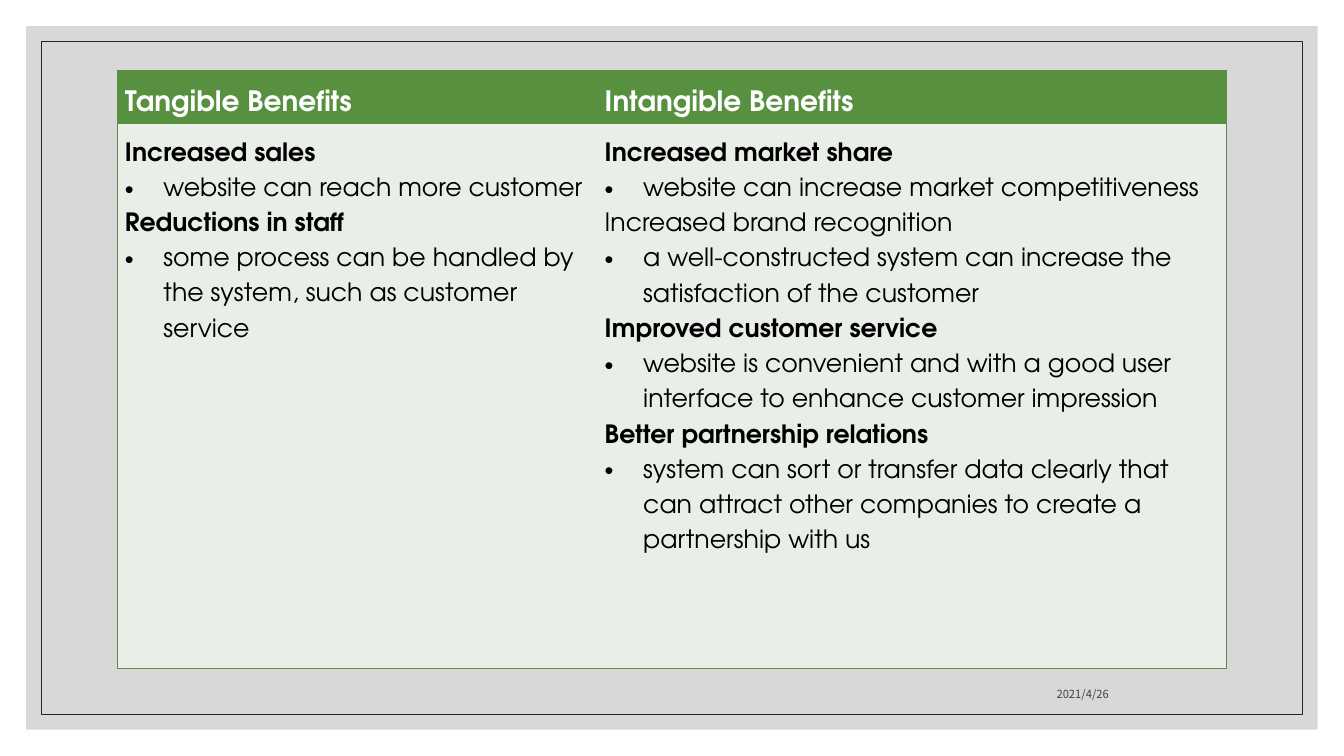
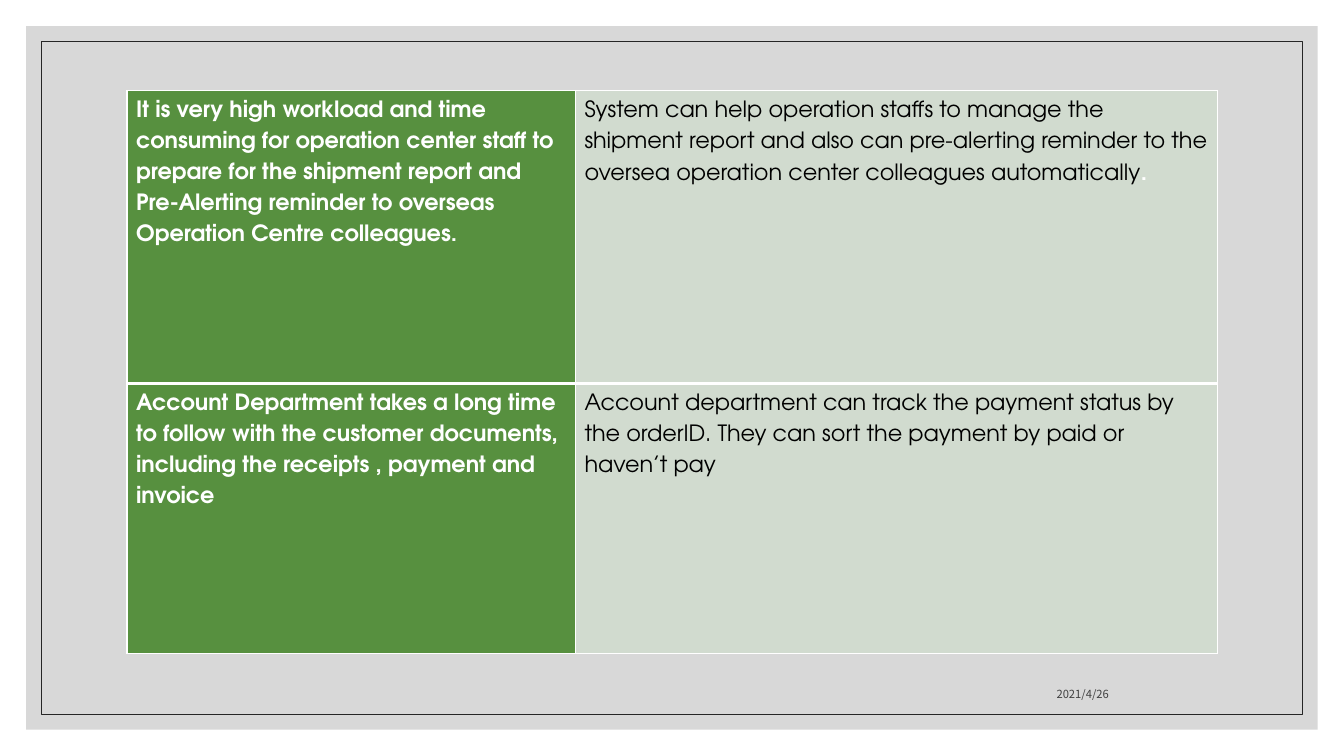
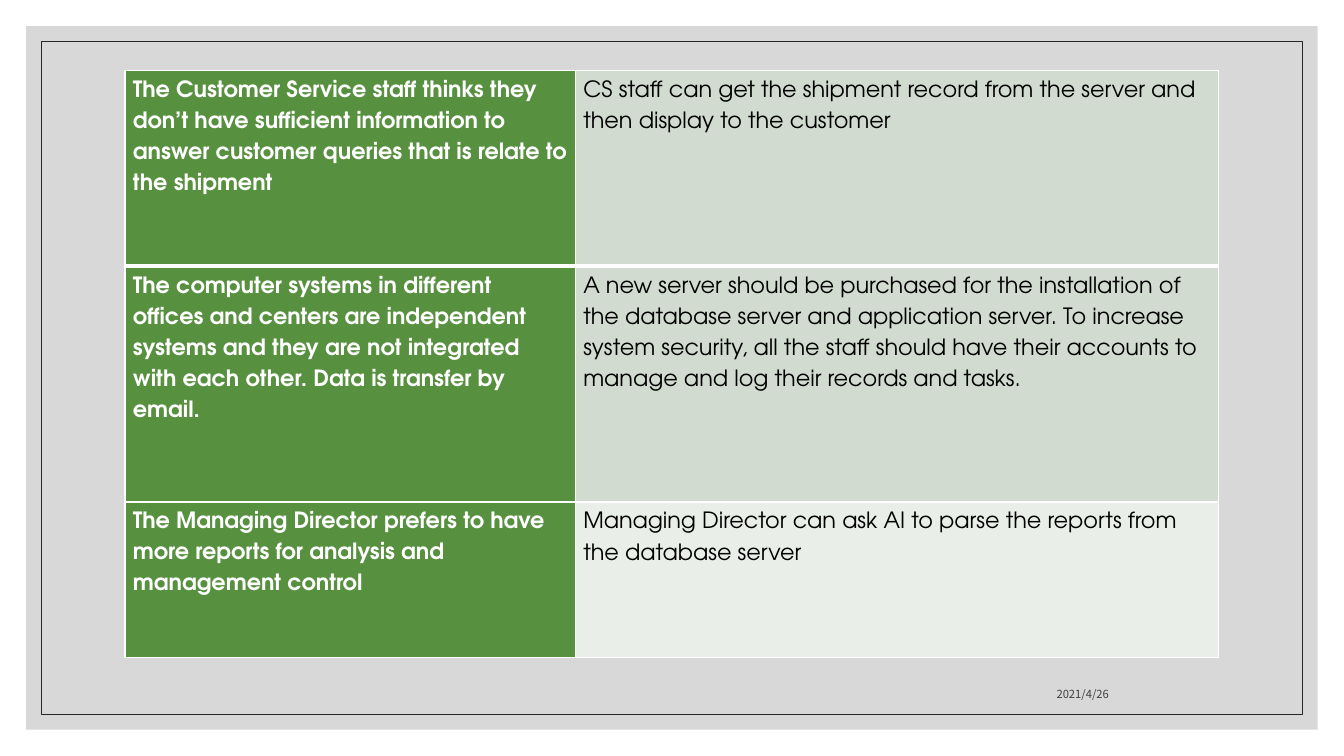
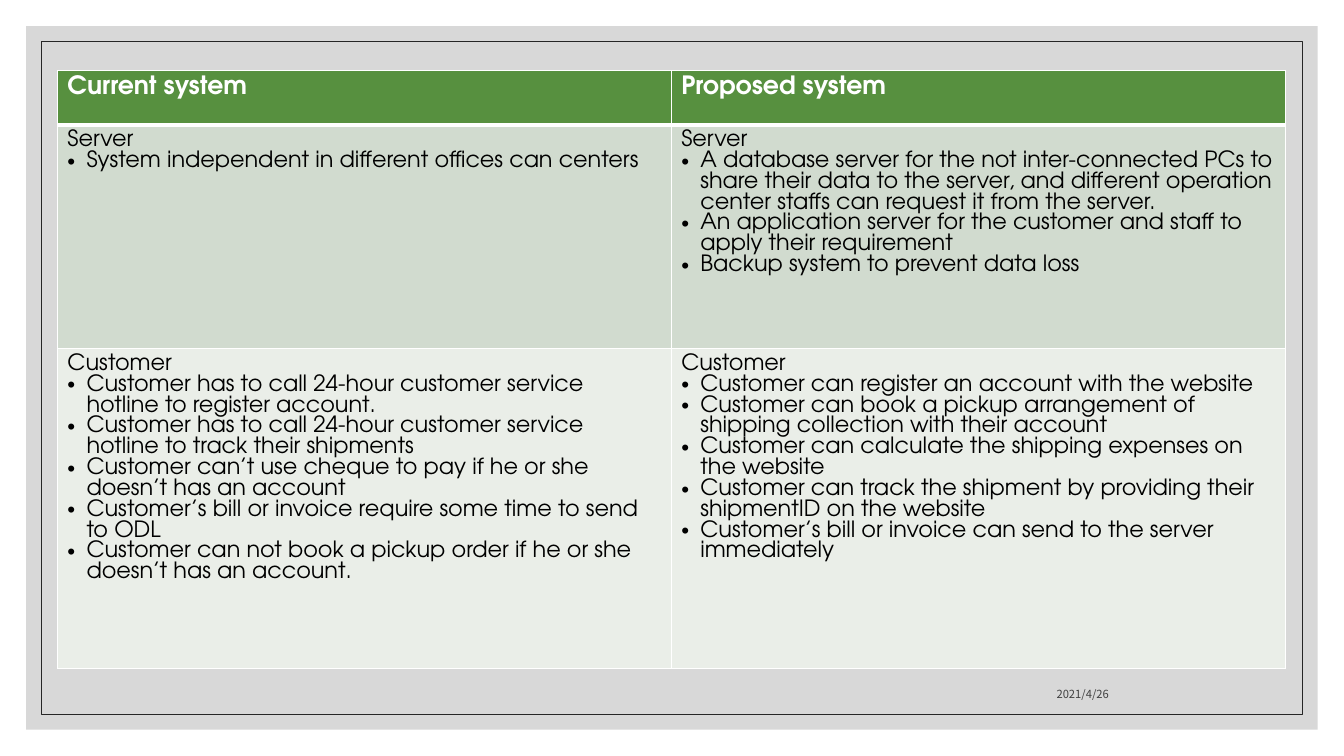
from dataclasses import dataclass
from lxml.etree import SubElement as Sub
from pptx import Presentation
from pptx.dml.color import RGBColor as Rgb
from pptx.enum.shapes import MSO_SHAPE as Kind
from pptx.enum.text import MSO_ANCHOR as Anchor, PP_ALIGN as Align
from pptx.oxml.ns import qn
from pptx.util import Cm, Pt


@dataclass(frozen=True)
class Theme:
    face: str = "TeX Gyre Adventor"
    date_face: str = "Noto Sans CJK TC"
    green: str = "57903F"
    mid: str = "D1DBCF"
    pale: str = "EAEEE8"
    white: str = "FFFFFF"
    black: str = "000000"
    grey: str = "404040"
    mat: str = "BFBFBF"
    rim: str = "262626"
    big: int = 20
    sub: int = 18
    body: int = 16
    small: int = 8


T = Theme()
HEAD, SUB, ITEM, PLAIN = "head", "sub", "item", "plain"
LOOKS = {
    HEAD: (T.white, True),
    SUB: (T.black, True),
    ITEM: (T.black, False),
    PLAIN: (T.black, False),
}
DATE = "2021/4/26"

BENEFITS = [
    [[(HEAD, "Tangible Benefits")], [(HEAD, "Intangible Benefits")]],
    [
        [
            (SUB, "Increased sales"),
            (ITEM, "website can reach more customer"),
            (SUB, "Reductions in staff"),
            (ITEM, "some process can be handled by the system, such as customer service"),
        ],
        [
            (SUB, "Increased market share"),
            (ITEM, "website can increase market competitiveness"),
            (PLAIN, "Increased brand recognition"),
            (ITEM, "a well-constructed system can increase the satisfaction of the customer"),
            (SUB, "Improved customer service"),
            (ITEM, "website is convenient and with a good user interface to enhance customer impression"),
            (SUB, "Better partnership relations"),
            (ITEM, "system can sort or transfer data clearly that can attract other companies to create a partnership with us"),
        ],
    ],
]
REPORTS = [
    [
        [(HEAD, "It is very high workload and time consuming for operation center staff to prepare for the shipment report and Pre-Alerting reminder to overseas Operation Centre colleagues.")],
        [(PLAIN, "System can help operation staffs to manage the shipment report and also can pre-alerting reminder to the oversea operation center colleagues automatically", HEAD, ".")],
    ],
    [
        [(HEAD, "Account Department takes a long time to follow with the customer documents, including the receipts , payment and invoice")],
        [(PLAIN, "Account department can track the payment status by the orderID. They can sort the payment by paid or haven’t pay")],
    ],
]
RECORDS = [
    [
        [(HEAD, "The Customer Service staff thinks they don’t have sufficient information to answer customer queries that is relate to the shipment")],
        [(PLAIN, "CS staff can get the shipment record from the server and then display to the customer")],
    ],
    [
        [(HEAD, "The computer systems in different offices and centers are independent systems and they are not integrated with each other. Data is transfer by email.")],
        [(PLAIN, "A new server should be purchased for the installation of the database server and application server. To increase system security, all the staff should have their accounts to manage and log their records and tasks.")],
    ],
    [
        [(HEAD, "The Managing Director prefers to have more reports for analysis and management control")],
        [(PLAIN, "Managing Director can ask AI to parse the reports from the database server")],
    ],
]
SYSTEMS = [
    [[(HEAD, "Current system")], [(HEAD, "Proposed system")]],
    [
        [
            (PLAIN, "Server"),
            (ITEM, "System independent in different offices can centers"),
        ],
        [
            (PLAIN, "Server"),
            (ITEM, "A database server for the not inter-connected PCs to share their data to the server, and different operation center staffs can request it from the server."),
            (ITEM, "An application server for the customer and staff to apply their requirement"),
            (ITEM, "Backup system to prevent data loss"),
        ],
    ],
    [
        [
            (PLAIN, "Customer"),
            (ITEM, "Customer has to call 24-hour customer service hotline to register account."),
            (ITEM, "Customer has to call 24-hour customer service hotline to track their shipments"),
            (ITEM, "Customer can’t use cheque to pay if he or she doesn’t has an account"),
            (ITEM, "Customer’s bill or invoice require some time to send to ODL"),
            (ITEM, "Customer can not book a pickup order if he or she doesn’t has an account."),
        ],
        [
            (PLAIN, "Customer"),
            (ITEM, "Customer can register an account with the website"),
            (ITEM, "Customer can book a pickup arrangement of shipping collection with their account"),
            (ITEM, "Customer can calculate the shipping expenses on the website"),
            (ITEM, "Customer can track the shipment by providing their shipmentID on the website"),
            (ITEM, "Customer’s bill or invoice can send to the server immediately"),
        ],
    ],
]

PAGES = [
    dict(rows=BENEFITS, at=(2.97, 1.78), wide=(12.09, 15.85), high=(1.27, 13.72),
         pad=(0.18, 0.18), sizes=(T.big, T.sub), lead=1.5, dent=0.97,
         tints=(T.pale, T.pale), boxed=True),
    dict(rows=REPORTS, at=(3.2, 2.29), wide=(11.3, 16.18), high=(7.37, 6.81),
         pad=(0.23, 0), sizes=(T.body, T.body), lead=1.5, dent=0,
         tints=(T.mid, T.mid), boxed=False),
    dict(rows=RECORDS, at=(3.15, 1.78), wide=(11.35, 16.21), high=(4.93, 5.94, 3.91),
         pad=(0.2, 0), sizes=(T.body, T.body), lead=1.5, dent=0,
         tints=(T.mid, T.mid, T.pale), boxed=False),
    dict(rows=SYSTEMS, at=(1.45, 1.78), wide=(15.47, 15.47), high=(1.37, 5.64, 8.05),
         pad=(0.25, 0.13), sizes=(T.sub, T.body), lead=1, dent=0.48,
         tints=(T.mid, T.mid, T.pale), boxed=False),
]


def ink(run, size, tint, bold=False, face=T.face):
    font = run.font
    font.size, font.bold, font.name = Pt(size), bold, face
    font.color.rgb = Rgb.from_string(tint)
    props = run._r.get_or_add_rPr()
    Sub(props, qn("a:ea")).set("typeface", face)


def frame(slide):
    mat, rim = [
        slide.shapes.add_shape(Kind.RECTANGLE, *map(Cm, box))
        for box in ((0.66, 0.66, 32.55, 17.73), (1.04, 1.04, 31.79, 16.97))
    ]
    for rect in (mat, rim):
        rect.shadow.inherit = False
    mat.fill.solid()
    mat.fill.fore_color.rgb = Rgb.from_string(T.mat)
    shade = mat.fill._xPr.find(qn("a:solidFill"))[0]
    Sub(shade, qn("a:alpha")).set("val", "60000")
    mat.line.fill.background()
    rim.fill.background()
    rim.line.color.rgb = Rgb.from_string(T.rim)
    rim.line.width = Pt(0.5)


def stamp(slide):
    box = slide.shapes.add_textbox(Cm(20.17), Cm(16.76), Cm(8.03), Cm(1.02))
    text = box.text_frame
    text.word_wrap = True
    text.vertical_anchor = Anchor.BOTTOM
    text.text = DATE
    line = text.paragraphs[0]
    line.alignment = Align.RIGHT
    ink(line.runs[0], T.small, T.grey, face=T.date_face)


def edge(cell, side, width, tint):
    props = cell._tc.get_or_add_tcPr()
    line = Sub(props, qn("a:ln" + side), w=str(Pt(width)))
    if width:
        fill = Sub(line, qn("a:solidFill"))
        Sub(fill, qn("a:srgbClr"), val=tint)
    else:
        Sub(line, qn("a:noFill"))


def rule(cell, row, col, boxed):
    if boxed:
        widths = dict(L=int(col == 0), R=int(col == 1), T=1, B=1)
    else:
        widths = dict(L=1, R=1, T=3 if row == 1 else 1, B=3 if row == 0 else 1)
    for side, width in widths.items():
        edge(cell, side, width, T.green if boxed else T.white)


def bullet(para, dent):
    props = para._p.get_or_add_pPr()
    props.set("marL", str(Cm(dent)))
    props.set("indent", str(-Cm(dent)))
    Sub(props, qn("a:buFont"), typeface="Arial")
    Sub(props, qn("a:buChar"), char="•")


def write(cell, lines, size, lead, dent):
    text = cell.text_frame
    for num, line in enumerate(lines):
        para = text.add_paragraph() if num else text.paragraphs[0]
        para.line_spacing = float(lead)
        if line[0] == ITEM:
            bullet(para, dent)
        for look, words in zip(line[::2], line[1::2]):
            run = para.add_run()
            run.text = words
            ink(run, size, *LOOKS[look])


def grid(slide, page):
    rows, wide, high = page["rows"], page["wide"], page["high"]
    spot = [*page["at"], sum(wide), sum(high)]
    table = slide.shapes.add_table(len(rows), len(wide), *map(Cm, spot)).table
    table.first_row = table.horz_banding = False
    for col, width in zip(table.columns, wide):
        col.width = Cm(width)
    for r, row in enumerate(rows):
        table.rows[r].height = Cm(high[r])
        for c, lines in enumerate(row):
            cell = table.cell(r, c)
            padx, pady = map(Cm, page["pad"])
            cell.margin_left = cell.margin_right = padx
            cell.margin_top = cell.margin_bottom = pady
            rule(cell, r, c, page["boxed"])
            head = lines[0][0] == HEAD
            cell.fill.solid()
            cell.fill.fore_color.rgb = Rgb.from_string(T.green if head else page["tints"][r])
            write(cell, lines, page["sizes"][0 if head else 1], page["lead"], page["dent"])


def main():
    deck = Presentation()
    deck.slide_width, deck.slide_height = Cm(33.87), Cm(19.05)
    for page in PAGES:
        slide = deck.slides.add_slide(deck.slide_layouts[6])
        frame(slide)
        grid(slide, page)
        stamp(slide)
    deck.save("out.pptx")


if __name__ == "__main__":
    main()
